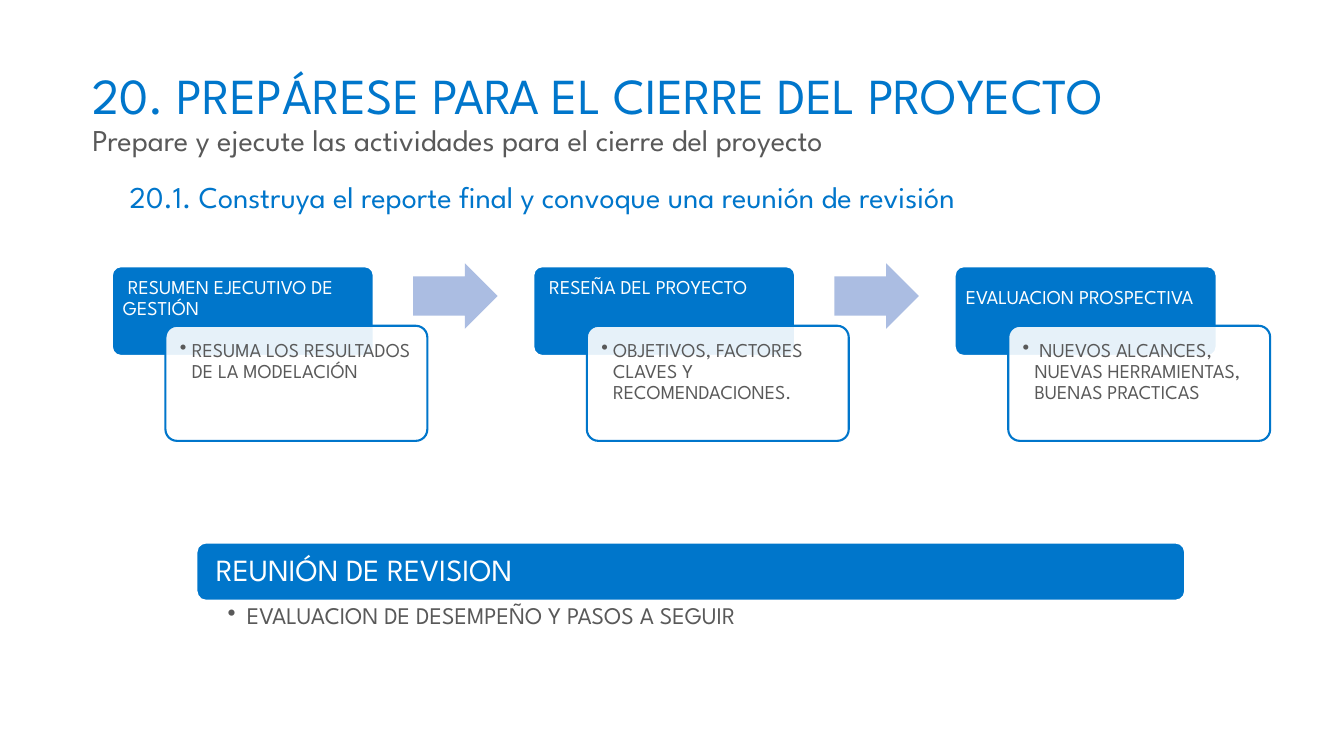
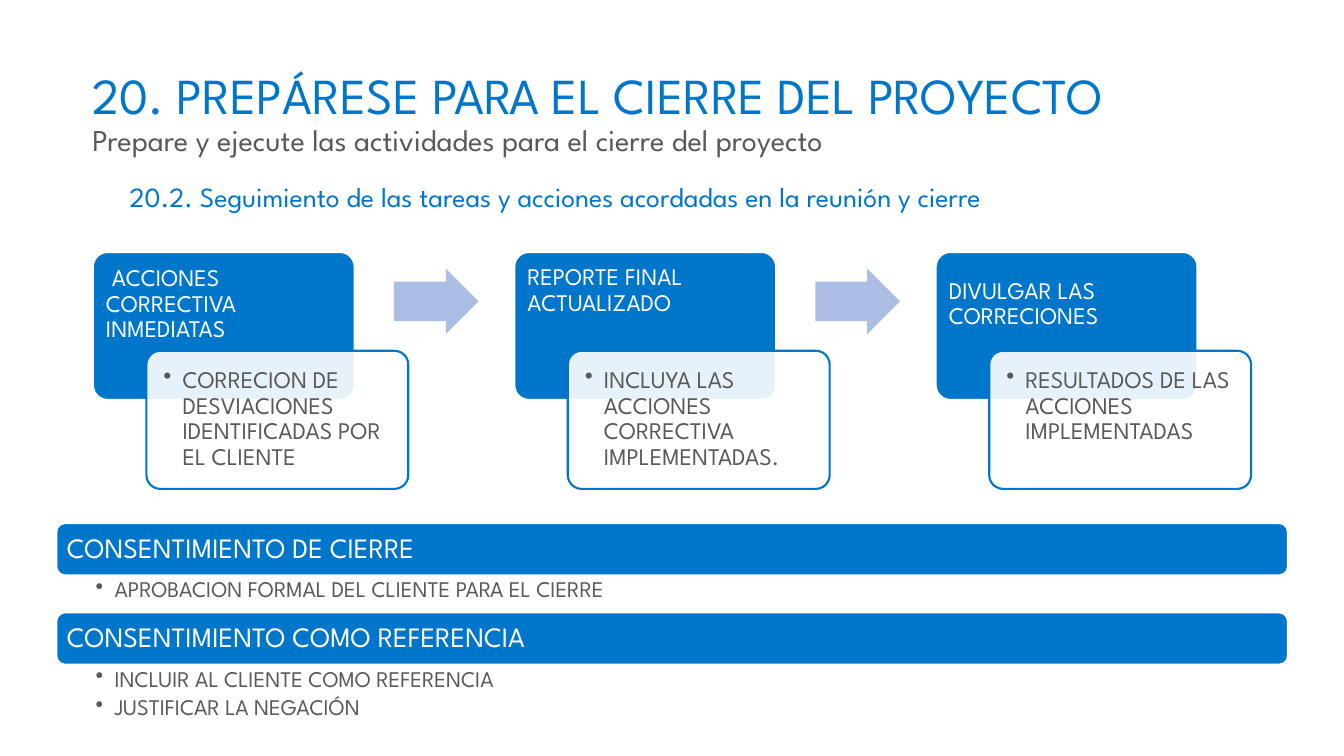
from dataclasses import dataclass

from lxml import etree
from pptx import Presentation
from pptx import util as u
from pptx.dml.color import RGBColor
from pptx.enum import shapes, text
from pptx.oxml.ns import qn


@dataclass(frozen=True)
class Theme:
    font: str = "League Spartan"
    blue: str = "0076CB"
    grey: str = "595959"
    white: str = "FFFFFF"
    arrow: str = "ABBDE2"
    title_size: float = 36
    subtitle_size: float = 21.6
    outline: float = 1.5
    detail_opacity: int = 90
    leading: float = 0.9


THEME = Theme()
TOP, MIDDLE = text.MSO_ANCHOR.TOP, text.MSO_ANCHOR.MIDDLE
ROUNDED = shapes.MSO_SHAPE.ROUNDED_RECTANGLE
RIGHT_ARROW = shapes.MSO_SHAPE.RIGHT_ARROW

TITLE = "20. PREPÁRESE PARA EL CIERRE DEL PROYECTO"
SUBTITLE = "Prepare y ejecute las actividades para el cierre del proyecto"
TITLE_AREA = (2.08, 1.02, 29.64, 3.73)
SECTION_AREA = (3.02, 4.52, 28.75, 1.02)
TEXT_INSETS = (0.25, 0.13, 0.25, 0.13)

STEP_PITCH = 10.62
STEP_WIDTH = 6.6
DETAIL_SHIFT = 1.35
ARROW_GAP, ARROW_WIDTH, ARROW_HEIGHT = 0.99, 2.13, 1.65
CORNER = 0.1
CORNER_INSET = 0.29

SLIDES = [
    {
        "section": "20.1. Construya el reporte final y convoque una reunión de revisión",
        "section_size": 21.6,
        "flow": {
            "left": 2.82, "top": 6.71, "label": 1.5, "header": 2.26, "detail": 2.9,
            "size": 14, "inset": 0.28, "bottom": 0.15, "indent": 0.3,
        },
        "steps": [
            (" RESUMEN EJECUTIVO DE GESTIÓN", MIDDLE,
             "RESUMA LOS RESULTADOS DE LA MODELACIÓN"),
            (" RESEÑA DEL PROYECTO", TOP,
             "OBJETIVOS, FACTORES CLAVES Y RECOMENDACIONES."),
            ("EVALUACION PROSPECTIVA", MIDDLE,
             " NUEVOS ALCANCES, NUEVAS HERRAMIENTAS, BUENAS PRACTICAS"),
        ],
        "bands": {
            "left": 4.95, "top": 13.67, "width": 24.92, "height": 1.47,
            "size": 22, "inset": 0.23, "point_size": 17, "point_inset": 0.79,
        },
        "topics": [
            (" REUNIÓN DE REVISION", 1.02, ["EVALUACION DE DESEMPEÑO Y PASOS A SEGUIR"]),
        ],
    },
    {
        "section": "20.2. Seguimiento de las tareas y acciones acordadas en la reunión y cierre",
        "section_size": 19.8,
        "flow": {
            "left": 2.34, "top": 6.35, "label": 2.49, "header": 3.73, "detail": 3.48,
            "size": 17, "inset": 0.33, "bottom": 0.18, "indent": 0.48,
        },
        "steps": [
            (" ACCIONES CORRECTIVA INMEDIATAS", MIDDLE,
             "CORRECION DE DESVIACIONES IDENTIFICADAS POR EL CLIENTE"),
            ("REPORTE FINAL ACTUALIZADO", TOP,
             "INCLUYA LAS ACCIONES CORRECTIVA IMPLEMENTADAS."),
            ("DIVULGAR LAS CORRECIONES", MIDDLE,
             "RESULTADOS DE LAS ACCIONES IMPLEMENTADAS"),
        ],
        "bands": {
            "left": 1.42, "top": 13.18, "width": 31.04, "height": 1.32,
            "size": 20, "inset": 0.2, "point_size": 16, "point_inset": 0.99,
        },
        "topics": [
            ("CONSENTIMIENTO DE CIERRE", 0.93,
             ["APROBACION FORMAL DEL CLIENTE PARA EL CIERRE"]),
            ("CONSENTIMIENTO COMO REFERENCIA", 1.5,
             ["INCLUIR AL CLIENTE COMO REFERENCIA", "JUSTIFICAR LA NEGACIÓN"]),
        ],
    },
]


def cm(values):
    return [u.Cm(value) for value in values]


def style_font(font, size, color):
    font.name = THEME.font
    font.size = u.Pt(size)
    font.color.rgb = RGBColor.from_string(color)


def set_frame(box, insets, anchor):
    frame = box.text_frame
    frame.word_wrap = True
    frame.vertical_anchor = anchor
    frame.margin_left, frame.margin_top, frame.margin_right, frame.margin_bottom = cm(insets)
    return frame


def add_bullet(para, indent):
    properties = para._p.get_or_add_pPr()
    properties.set("marL", str(u.Cm(indent)))
    properties.set("indent", str(-u.Cm(indent)))
    etree.SubElement(properties, qn("a:buChar")).set("char", "•")


def write(box, lines, size, color, insets, anchor=TOP, indent=0, leading=THEME.leading):
    frame = set_frame(box, insets, anchor)
    for index, line in enumerate(lines):
        para = frame.paragraphs[0] if index == 0 else frame.add_paragraph()
        if indent:
            add_bullet(para, indent)
        para.alignment = text.PP_ALIGN.LEFT
        para.line_spacing = leading
        if index < len(lines) - 1:
            para.space_after = u.Pt(size * 0.2)
        para.add_run().text = line
        style_font(para.font, size, color)


def add_block(page, kind, area, fill, line=None, adjustment=None):
    block = page.shapes.add_shape(kind, *cm(area))
    block.shadow.inherit = False
    block.fill.solid()
    block.fill.fore_color.rgb = RGBColor.from_string(fill)
    if line:
        block.line.color.rgb = RGBColor.from_string(line)
        block.line.width = u.Pt(THEME.outline)
    else:
        block.line.fill.background()
    if adjustment is not None:
        block.adjustments[0] = adjustment
    return block


def set_opacity(block, percent):
    color = block._element.spPr.find(qn("a:solidFill")).find(qn("a:srgbClr"))
    etree.SubElement(color, qn("a:alpha")).set("val", str(percent * 1000))


def add_heading(page, section, size):
    title = page.shapes.add_textbox(*cm(TITLE_AREA))
    para = set_frame(title, TEXT_INSETS, MIDDLE).paragraphs[0]
    para.line_spacing = THEME.leading
    span = para.add_run()
    span.text = TITLE
    style_font(span.font, THEME.title_size, THEME.blue)
    para.add_line_break()
    span = para.add_run()
    span.text = SUBTITLE
    style_font(span.font, THEME.subtitle_size, THEME.grey)

    box = page.shapes.add_textbox(*cm(SECTION_AREA))
    write(box, [section], size, THEME.blue, TEXT_INSETS, MIDDLE, leading=0.8)


def add_flow(page, flow, steps):
    inset, label = flow["inset"], flow["label"]
    corner = CORNER * CORNER_INSET * flow["header"]
    side = inset - corner
    bottom = flow["bottom"] + flow["header"] - label - corner
    for index, (heading, anchor, detail) in enumerate(steps):
        left = flow["left"] + index * STEP_PITCH
        header = add_block(page, ROUNDED, (left, flow["top"], STEP_WIDTH, flow["header"]),
                           THEME.blue, THEME.white, CORNER)
        write(header, [heading], flow["size"], THEME.white, (side, side, side, bottom), anchor)

        area = (left + DETAIL_SHIFT, flow["top"] + label, STEP_WIDTH, flow["detail"])
        card = add_block(page, ROUNDED, area, THEME.white, THEME.blue, CORNER)
        set_opacity(card, THEME.detail_opacity)
        write(card, [detail], flow["size"], THEME.grey, (inset,) * 4, indent=flow["indent"])

        if index < len(steps) - 1:
            arrow_top = flow["top"] + (label - ARROW_HEIGHT) / 2
            area = (left + STEP_WIDTH + ARROW_GAP, arrow_top, ARROW_WIDTH, ARROW_HEIGHT)
            add_block(page, RIGHT_ARROW, area, THEME.arrow, adjustment=0.6)


def add_bands(page, bands, topics):
    left, top, width, height = (bands[key] for key in ("left", "top", "width", "height"))
    for heading, points_height, points in topics:
        band = add_block(page, ROUNDED, (left, top, width, height), THEME.blue, THEME.white)
        write(band, [heading], bands["size"], THEME.white, (bands["inset"],) * 4, MIDDLE)
        top += height
        box = page.shapes.add_textbox(*cm((left, top, width, points_height)))
        insets = (bands["point_inset"], 0.08, 0.42, 0.08)
        write(box, points, bands["point_size"], THEME.grey, insets, indent=0.48)
        top += points_height


def main():
    deck = Presentation()
    deck.slide_width, deck.slide_height = cm((33.87, 19.05))
    for content in SLIDES:
        page = deck.slides.add_slide(deck.slide_layouts[6])
        add_heading(page, content["section"], content["section_size"])
        add_flow(page, content["flow"], content["steps"])
        add_bands(page, content["bands"], content["topics"])
    deck.save("out.pptx")


if __name__ == "__main__":
    main()
